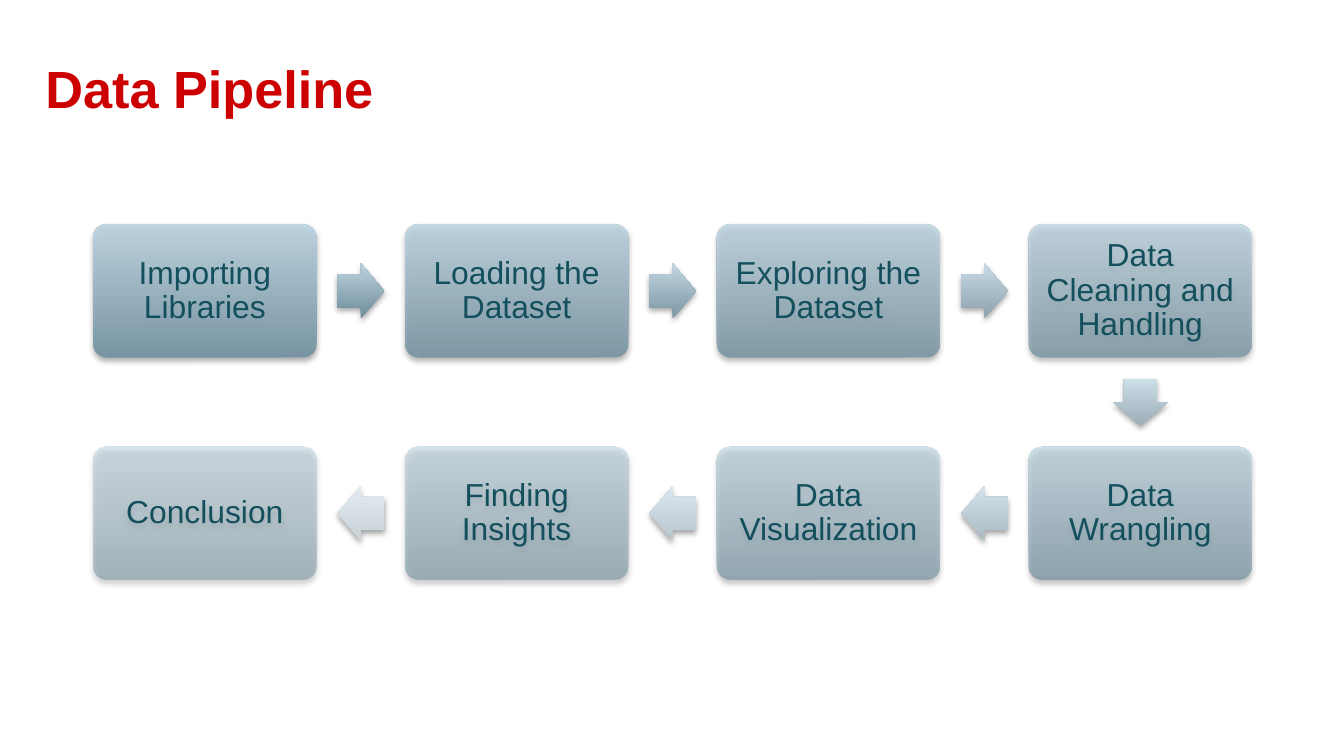
import pptx
import pptx.util
import pptx.dml.color
import pptx.enum.shapes
import pptx.enum.text
import pptx.oxml
import pptx.oxml.ns

PX = 4572  # EMU per px, 200 px to the inch
SHAPE = pptx.enum.shapes.MSO_SHAPE
ALIGN = pptx.enum.text.PP_ALIGN
ANCHOR = pptx.enum.text.MSO_ANCHOR
NS = pptx.oxml.ns.nsdecls("a")


def px(*values):
    return [pptx.util.Emu(round(v * PX)) for v in values]


def color(hex_string):
    return pptx.dml.color.RGBColor.from_string(hex_string)


def write(tf, text, size=17, fill="134F5C", bold=False, font="Arial",
          align=ALIGN.CENTER, anchor=ANCHOR.MIDDLE, spacing=0.9, inset=20):
    tf.word_wrap = True
    tf.vertical_anchor = anchor
    tf.margin_left = tf.margin_top = tf.margin_right = tf.margin_bottom = px(inset)[0]
    p = tf.paragraphs[0]
    p.alignment = align
    p.line_spacing = spacing
    r = p.add_run()
    r.text = text
    r.font.name = font
    r.font.size = pptx.util.Pt(size)
    r.font.bold = bold
    r.font.color.rgb = color(fill)


class Deck:
    def __init__(self, width, height):
        self.prs = pptx.Presentation()
        self.prs.slide_width, self.prs.slide_height = px(width, height)
        self.slide = self.prs.slides.add_slide(self.prs.slide_layouts[6])

    def title(self, x, y, w, h, text):
        s = self.slide.shapes.add_textbox(*px(x, y, w, h))
        write(s.text_frame, text, size=28, fill="CC0000", bold=True,
              align=ALIGN.LEFT, anchor=ANCHOR.TOP, spacing=1.0)

    def shaded(self, kind, x, y, w, h, dark, light, opacity=100):
        """Preset shape with an upward gradient and a soft shadow."""
        s = self.slide.shapes.add_shape(kind, *px(x, y, w, h))
        s.line.fill.background()
        s.shadow.inherit = False
        stops = "".join(
            f'<a:gs pos="{pos}"><a:srgbClr val="{c}">'
            f'<a:alpha val="{opacity * 1000}"/></a:srgbClr></a:gs>'
            for pos, c in ((0, dark), (100000, light)))
        spPr = s.element.spPr
        spPr.find(pptx.oxml.ns.qn("a:ln")).addprevious(pptx.oxml.parse_xml(
            f'<a:gradFill {NS} rotWithShape="0"><a:gsLst>{stops}</a:gsLst>'
            '<a:lin ang="16200000" scaled="0"/></a:gradFill>'))
        spPr.find(pptx.oxml.ns.qn("a:effectLst")).append(pptx.oxml.parse_xml(
            f'<a:outerShdw {NS} blurRad="39370" dist="22860" dir="5400000" '
            'rotWithShape="0"><a:srgbClr val="000000"><a:alpha val="35000"/>'
            '</a:srgbClr></a:outerShdw>'))
        return s

    def step(self, x, y, w, h, text, opacity):
        s = self.shaded(SHAPE.ROUNDED_RECTANGLE, x, y, w, h,
                        "7392A1", "BDD5E2", opacity)
        s.adjustments[0] = 0.1
        write(s.text_frame, text)

    def arrow(self, cx, cy, w, h, dark, light, rotation):
        s = self.shaded(SHAPE.RIGHT_ARROW, cx - w / 2, cy - h / 2, w, h, dark, light)
        s.adjustments[0], s.adjustments[1] = 0.6, 0.5
        s.rotation = rotation


STEPS = ["Importing Libraries", "Loading the Dataset", "Exploring the Dataset",
         "Data Cleaning and Handling", "Data Wrangling", "Data Visualization",
         "Finding Insights", "Conclusion"]
ARROWS = [("6D8B9A", "BDD3DF"), ("7D97A4", "C2D6E2"), ("8DA2AE", "C7DAE5"),
          ("9CAEB8", "CCDEE8"), ("ABBAC2", "D3E2EB"), ("BAC6CD", "DAE7EE"),
          ("C9D2D7", "E1EBF1")]
COLUMNS = 4
LEFT, TOP, BOX_W, BOX_H = 139, 334, 332, 198
PITCH_X, PITCH_Y = 464, 331


def corner(i):
    """Top left of step i: first row runs right, second runs back left."""
    row, col = divmod(i, COLUMNS)
    if row:
        col = COLUMNS - 1 - col
    return LEFT + col * PITCH_X, TOP + row * PITCH_Y


def main():
    deck = Deck(2000, 1125)
    deck.title(48, 64, 1952, 1006, "Data Pipeline")

    # Steps fade from 90 to 50 percent
    for i, text in enumerate(STEPS):
        opacity = round(90 - 40 * i / (len(STEPS) - 1))
        deck.step(*corner(i), BOX_W, BOX_H, text, opacity)

    # Arrows sit halfway between neighbouring steps
    for i, (dark, light) in enumerate(ARROWS):
        (x1, y1), (x2, y2) = corner(i), corner(i + 1)
        rotation = 90 if y2 > y1 else 0 if x2 > x1 else 180
        deck.arrow((x1 + x2 + BOX_W) / 2, (y1 + y2 + BOX_H) / 2, 70, 82,
                   dark, light, rotation)

    deck.prs.save("out.pptx")


if __name__ == "__main__":
    main()
